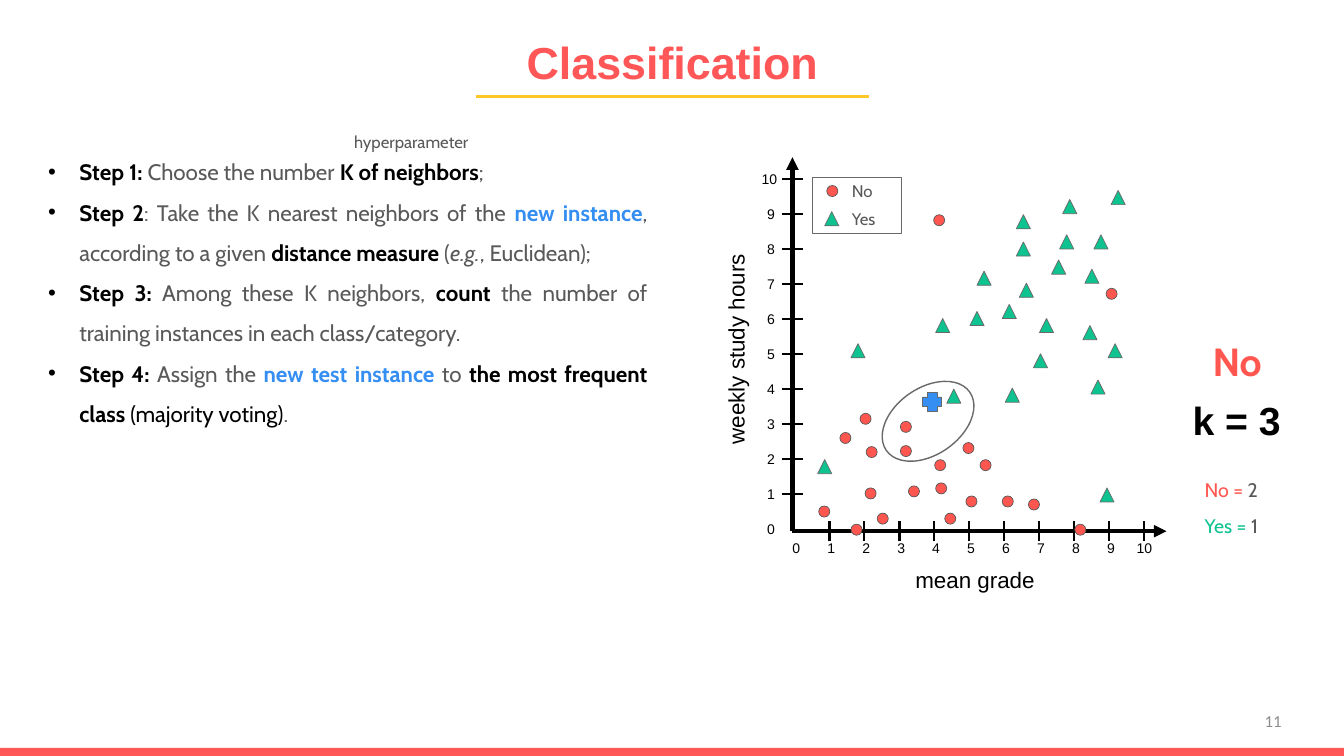
import pptx
import pptx.util
import pptx.dml.color
import pptx.enum.shapes
import pptx.enum.text
from lxml import etree

PX = 9144  # EMU; 100 px to the inch
SHAPE = pptx.enum.shapes.MSO_SHAPE
ALIGN = pptx.enum.text.PP_ALIGN
ANCHOR = pptx.enum.text.MSO_ANCHOR

CORAL, RED, GREEN, BLUE = "FF5657", "FF564F", "0FC391", "358EF2"
BLACK, GREY, OUTLINE, YELLOW = "000000", "595959", "696969", "FFC727"

# Run styles: colour, bold, italic
KEY, PLAIN, INSTANCE = (BLACK, True, False), (GREY, False, False), (BLUE, True, False)
BODY, LATIN = (BLACK, False, False), (GREY, False, True)
RED_RUN, GREEN_RUN = (RED, False, False), (GREEN, False, False)

STEPS = [
    [("Step 1:", KEY), (" Choose the number ", PLAIN), ("K of neighbors", KEY), (";", PLAIN)],
    [("Step 2", KEY), (": Take the K nearest neighbors of the ", PLAIN),
     ("new instance", INSTANCE), (", according to a given ", PLAIN),
     ("distance measure", KEY), (" (", PLAIN), ("e.g.", LATIN), (", Euclidean);", PLAIN)],
    [("Step 3:", KEY), (" Among these K neighbors, ", PLAIN), ("count", KEY),
     (" the number of training instances in each class/category.", PLAIN)],
    [("Step 4:", KEY), (" Assign the ", PLAIN), ("new test instance", INSTANCE),
     (" to ", PLAIN), ("the most frequent class", KEY), (" (majority voting)", BODY),
     (".", PLAIN)],
]
VOTES = [
    [("No =", RED_RUN), (" 2", PLAIN)],
    [("Yes =", GREEN_RUN), (" 1", PLAIN)],
]

# Left and top of each marker; the last of each list belongs to the legend
NO_MARKERS = [
    (812, 502), (858, 484), (859, 443), (901, 482), (870, 509), (893, 442), (937, 509),
    (927, 456), (958, 492), (994, 492), (955, 439), (972, 456), (1097, 286), (928, 479),
    (893, 418), (853, 410), (833, 429), (1020, 495), (926, 213), (844, 520), (1066, 520),
    (820, 184),
]
YES_MARKERS = [
    (844, 341), (811, 456), (939, 386), (1054, 198), (997, 385), (1082, 377), (1099, 341),
    (1074, 323), (1031, 316), (1011, 281), (1043, 258), (969, 269), (1008, 240),
    (1051, 233), (1008, 213), (928, 316), (962, 309), (1025, 351), (994, 302), (1091, 484),
    (1102, 189), (1085, 233), (1076, 267),
    (818, 210),
]
# Kind, side, fill, outline, positions
CLASSES = [
    (SHAPE.OVAL, 11, RED, GREY, NO_MARKERS),
    (SHAPE.ISOSCELES_TRIANGLE, 14, GREEN, OUTLINE, YES_MARKERS),
]

AXIS_X, AXIS_Y = 786, 527
FIRST_X, FIRST_Y, UNIT = 788, 525, 34.7
TICK = 10


def px(value):
    return pptx.util.Emu(round(value * PX))


def rgb(colour):
    return pptx.dml.color.RGBColor.from_string(colour)


def set_font(font, name, size, colour=None, bold=None):
    font.name, font.size = name, pptx.util.Pt(size)
    if colour:
        font.color.rgb = rgb(colour)
    font.bold = bold


def add_shape(kind, box, fill=None, outline=None, weight=0.5, rotation=0):
    shape = slide.shapes.add_shape(kind, *map(px, box))
    shape.shadow.inherit = False
    shape.rotation = rotation
    if fill:
        shape.fill.solid()
        shape.fill.fore_color.rgb = rgb(fill)
    else:
        shape.fill.background()
    if outline:
        shape.line.color.rgb = rgb(outline)
        shape.line.width = pptx.util.Pt(weight)
    else:
        shape.line.fill.background()


def add_line(start, end, colour, weight, arrow=False):
    line = slide.shapes.add_connector(
        pptx.enum.shapes.MSO_CONNECTOR.STRAIGHT, *map(px, start + end))
    line.line.color.rgb = rgb(colour)
    line.line.width = pptx.util.Pt(weight)
    if arrow:
        etree.SubElement(line.line._get_or_add_ln(), pptx.oxml.ns.qn("a:tailEnd"), type="triangle")
    etree.SubElement(line._element.spPr, pptx.oxml.ns.qn("a:effectLst"))


def add_label(text, box, size, colour=BLACK, font="Arial", align=ALIGN.CENTER,
              bold=False, spacing=None, rotation=0):
    label = slide.shapes.add_textbox(*map(px, box))
    label.rotation = rotation
    label.text_frame.word_wrap = align != ALIGN.CENTER
    paragraph = label.text_frame.paragraphs[0]
    paragraph.text = text
    paragraph.alignment = align
    paragraph.line_spacing = spacing
    set_font(paragraph.font, font, size, colour, bold)
    return label


def add_rich_text(paragraphs, box, size, align, bullet=False):
    """Add a text box whose paragraphs are lists of (text, style) runs."""
    frame = slide.shapes.add_textbox(*map(px, box)).text_frame
    frame.word_wrap = True
    for index, runs in enumerate(paragraphs):
        paragraph = frame.add_paragraph() if index else frame.paragraphs[0]
        if bullet:
            properties = paragraph._p.get_or_add_pPr()
            properties.set("marL", str(px(31)))
            properties.set("indent", str(px(-31)))
            etree.SubElement(properties, pptx.oxml.ns.qn("a:buFont"), typeface="Arial")
            etree.SubElement(properties, pptx.oxml.ns.qn("a:buChar"), char="•")
        paragraph.alignment = align
        paragraph.line_spacing = 1.5
        set_font(paragraph.font, "Cabin", size)
        for text, (colour, bold, italic) in runs:
            run = paragraph.add_run()
            run.text = text
            run.font.color.rgb = rgb(colour)
            run.font.bold, run.font.italic = bold, italic


deck = pptx.Presentation()
deck.slide_width, deck.slide_height = px(1333), px(750)
slide = deck.slides.add_slide(deck.slide_layouts[5])

# Title, footer bar and page number
title = slide.shapes.title
title.left, title.top, title.width, title.height = map(px, (494, 30, 346, 63))
title.text_frame.text = "Classification"
title.text_frame.auto_size = pptx.enum.text.MSO_AUTO_SIZE.NONE
title.text_frame.vertical_anchor = ANCHOR.MIDDLE
title.text_frame.paragraphs[0].alignment = ALIGN.CENTER
set_font(title.text_frame.paragraphs[0].font, "Arial", 32, CORAL, True)
add_line((862, 96), (472, 96), YELLOW, 2.25)
add_shape(SHAPE.RECTANGLE, (0, 742, 1333, 8), CORAL)
page = add_label("11", (981, 695, 300, 40), 12, "8C8C8C", "Calibri", ALIGN.RIGHT)
page.text_frame.vertical_anchor = ANCHOR.MIDDLE

# Steps
add_rich_text(STEPS, (38, 139, 614, 293), 16, ALIGN.JUSTIFY, bullet=True)
add_label("hyperparameter", (330, 116, 156, 40), 12, GREY, "Cabin", spacing=1.5)

# Axes
add_line((AXIS_X, AXIS_Y), (1157, AXIS_Y), BLACK, 3, arrow=True)
add_line((AXIS_X, AXIS_Y), (AXIS_X, 156), BLACK, 3, arrow=True)
add_label("mean grade", (835, 557, 264, 37), 16)
add_label("weekly study hours", (598, 328, 264, 37), 16, rotation=270)
for value in range(11):
    x, y = FIRST_X + UNIT * value, FIRST_Y - UNIT * value
    width = 39 if value == 10 else 24
    add_label(str(value), (x - width / 2, 530, width, 27), 10)
    add_label(str(value), (763 - width / 2, y - 14, width, 27), 10)
    if value:
        add_line((x, AXIS_Y + TICK), (x, AXIS_Y - TICK), BLACK, 1.5)
        add_line((AXIS_X + TICK, y), (AXIS_X - TICK, y), BLACK, 1.5)

# Training instances and legend
for kind, side, fill, outline, positions in CLASSES:
    for left, top in positions:
        add_shape(kind, (left, top, side, side), fill, outline)
for name, top in (("No", 164), ("Yes", 192)):
    add_label(name, (835, top, 45, 40), 12, GREY, "Cabin", ALIGN.LEFT, spacing=1.5)
add_shape(SHAPE.RECTANGLE, (806, 176, 88, 56), outline=OUTLINE)

# New instance, its neighbors and the vote
add_shape(SHAPE.CROSS, (915, 389, 19, 19), BLUE, OUTLINE)
add_shape(SHAPE.OVAL, (870, 385, 101, 66), outline=OUTLINE, weight=1, rotation=325)
add_label("No", (1170, 306, 114, 81), 28, RED, "Cabin", bold=True, spacing=1.5)
add_label("k = 3", (1166, 365, 121, 81), 28, bold=True, spacing=1.5)
add_rich_text(VOTES, (1185, 458, 83, 81), 14, ALIGN.LEFT)

deck.save("out.pptx")
